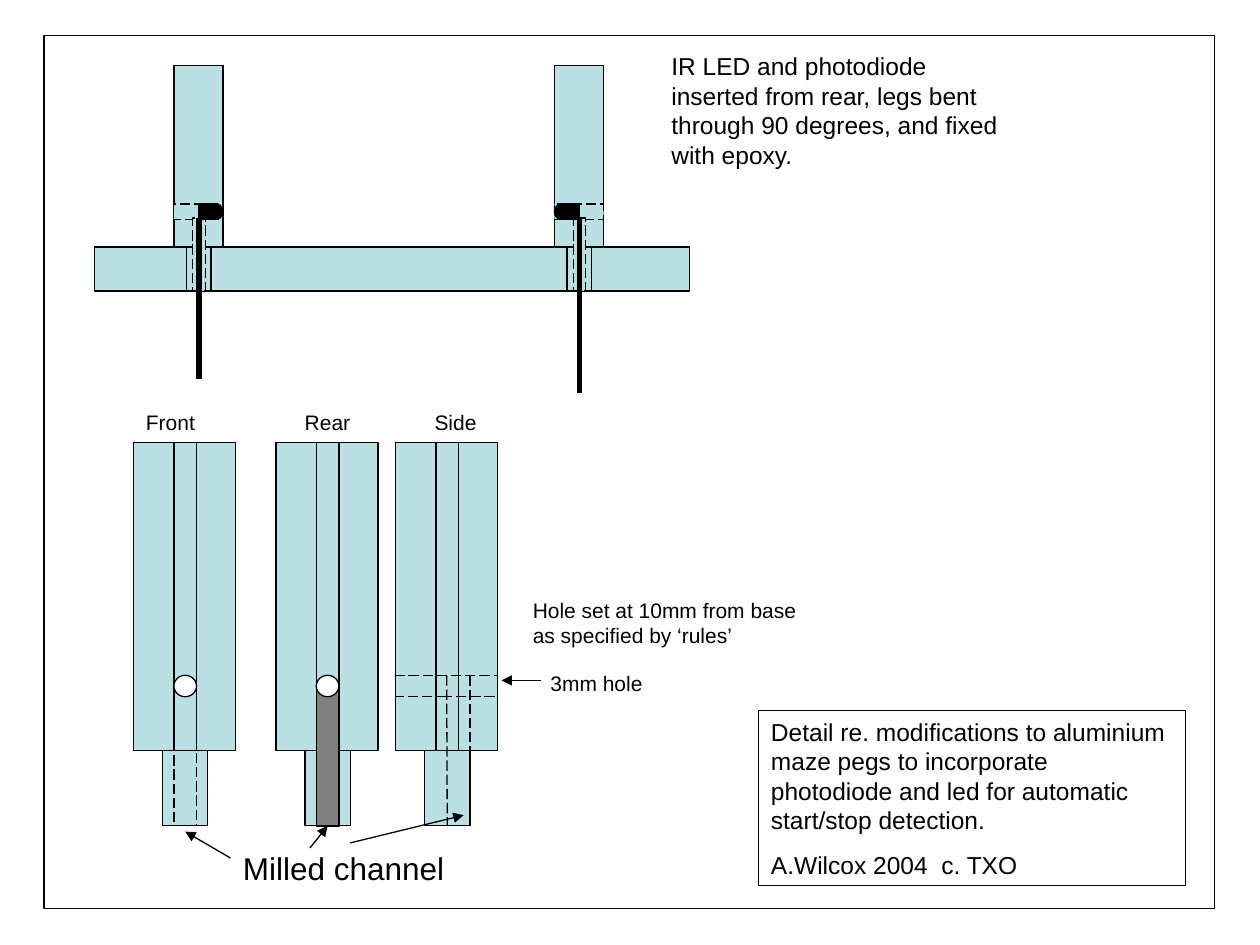
from lxml.etree import SubElement
from pptx import Presentation
from pptx.dml.color import RGBColor
from pptx.enum.dml import MSO_LINE
from pptx.enum.shapes import MSO_CONNECTOR, MSO_SHAPE as Preset
from pptx.enum.text import MSO_AUTO_SIZE as Fit
from pptx.oxml.ns import qn
from pptx.util import Inches, Pt

COLOURS = {"ink": "000000", "metal": "BBE0E3", "channel": "808080", "hole": "FFFFFF"}
INK = RGBColor.from_string(COLOURS["ink"])

prs = Presentation()
prs.slide_width, prs.slide_height = Inches(10), Inches(7.5)
slide = prs.slides.add_slide(prs.slide_layouts[6])
col, row = prs.slide_width / 100, prs.slide_height / 75


def part(x, y, w, h, fill="metal", dashed=False, preset=Preset.RECTANGLE):
    piece = slide.shapes.add_shape(preset, int(x * col), int(y * row), int(w * col), int(h * row))
    piece.shadow.inherit = False
    if fill:
        piece.fill.solid()
        piece.fill.fore_color.rgb = RGBColor.from_string(COLOURS[fill])
    else:
        piece.fill.background()
    piece.line.color.rgb = INK
    piece.line.width = Pt(0.75)
    if dashed:
        piece.line.dash_style = MSO_LINE.LONG_DASH
    return piece


def write(x, y, w, h, *lines, size=12, wrap=False, space=0, boxed=False):
    label = slide.shapes.add_textbox(int(x * col), int(y * row), int(w * col), int(h * row))
    frame = label.text_frame
    frame.word_wrap = wrap
    frame.auto_size = Fit.SHAPE_TO_FIT_TEXT
    if boxed:
        label.line.color.rgb = INK
        label.line.width = Pt(0.75)
    for i, line in enumerate(lines):
        para = frame.add_paragraph() if i else frame.paragraphs[0]
        para.space_before = Pt(space)
        run = para.add_run()
        run.text = line
        run.font.name, run.font.size, run.font.color.rgb = "Arial", Pt(size), INK


part(3.5, 2.8, 92.9, 69.3, fill=None)

# Each line: x1, y1, x2, y2, weight, dashed, arrow, (start part, site), (end part, site)
lines = []

part(7.5, 19.6, 47.2, 3.5)
for peg, hole_w, bulb, leads, leg_end in [(13.8, 3.4, 2.9, 2, 30.1), (44, 3.9, 0, 0.5, 31.2)]:
    part(peg, 5.2, 3.9, 14.4)
    part(peg, 16.2, hole_w, 1.2, dashed=True)
    part(peg + 1, 19.6, 1.95, 3.5)
    bore = part(peg + 1.5, 17.3, 1, 5.8, dashed=True)
    part(peg + bulb, 16.2, 1, 1.2, fill="ink", preset=Preset.OVAL)
    part(peg + leads, 16.2, 1.5, 1.2, fill="ink")
    lines.append((peg + 2, 17.3, peg + 2, leg_end, 3, False, False, (bore, 0), None))

FRONT, REAR, SIDE = 10.6, 21.9, 31.4
tenons = {}
for view in (FRONT, REAR, SIDE):
    part(view, 35.1, 8.1, 24.45)
    part(view + 3.2, 35.1, 1.8, 24.45)
    tenons[view] = part(view + 2.3, 59.55, 3.6, 6)

part(FRONT + 3.2, 54.4, 1.8, 11.1, fill=None, dashed=True)
milled = part(REAR + 3.2, 54.9, 1.8, 10.65, fill="channel")
for view in (FRONT, REAR):
    part(view + 3.2, 53.6, 1.8, 1.7, fill="hole", preset=Preset.OVAL)
side_hole = part(SIDE, 53.6, 8.1, 1.7, fill=None, dashed=True)

lines += [
    (35.5, 53.6, 35.5, 65.55, 0.75, True, False, (side_hole, 0), (tenons[SIDE], 2)),
    (37.3, 53.6, 37.3, 65.55, 0.75, True, False, None, None),
    (24.6, 67.3, 26, 65.55, 0.75, False, True, None, (milled, 2)),
    (18.3, 68.1, 14.7, 66, 0.75, False, True, None, None),
    (27.8, 66.9, 36.8, 64.7, 0.75, False, True, None, None),
    (42.9, 54, 39.8, 54, 0.75, False, True, None, None),
]
for x1, y1, x2, y2, weight, dashed, arrow, start, end in lines:
    link = slide.shapes.add_connector(
        MSO_CONNECTOR.STRAIGHT, int(x1 * col), int(y1 * row), int(x2 * col), int(y2 * row))
    link.line.color.rgb = INK
    link.line.width = Pt(weight)
    if dashed:
        link.line.dash_style = MSO_LINE.LONG_DASH
    if arrow:
        SubElement(link.line._get_or_add_ln(), qn("a:tailEnd"), type="triangle")
    SubElement(link._element.spPr, qn("a:effectLst"))
    if start:
        link.begin_connect(*start)
    if end:
        link.end_connect(*end)

write(18.3, 66.9, 18, 4, "Milled channel", size=18)
for x, name in [(10.6, "Front"), (23.2, "Rear"), (33.5, "Side")]:
    write(x, 32, 6.2, 3, name)
write(42.7, 52.7, 9.5, 3, "3mm hole")
write(41.3, 46.9, 23.1, 5, "Hole set at 10mm from base", "as specified by ‘rules’")
write(52.3, 3.6, 28.4, 10.4, "IR LED and photodiode", "inserted from rear, legs bent",
      "through 90 degrees, and fixed", "with epoxy.", size=14)
write(60.2, 56.4, 33.9, 13.9,
      "Detail re. modifications to aluminium maze pegs to incorporate photodiode "
      "and led for automatic start/stop detection.",
      "A.Wilcox 2004  c. TXO", size=14, wrap=True, space=8.8, boxed=True)

prs.save("out.pptx")
